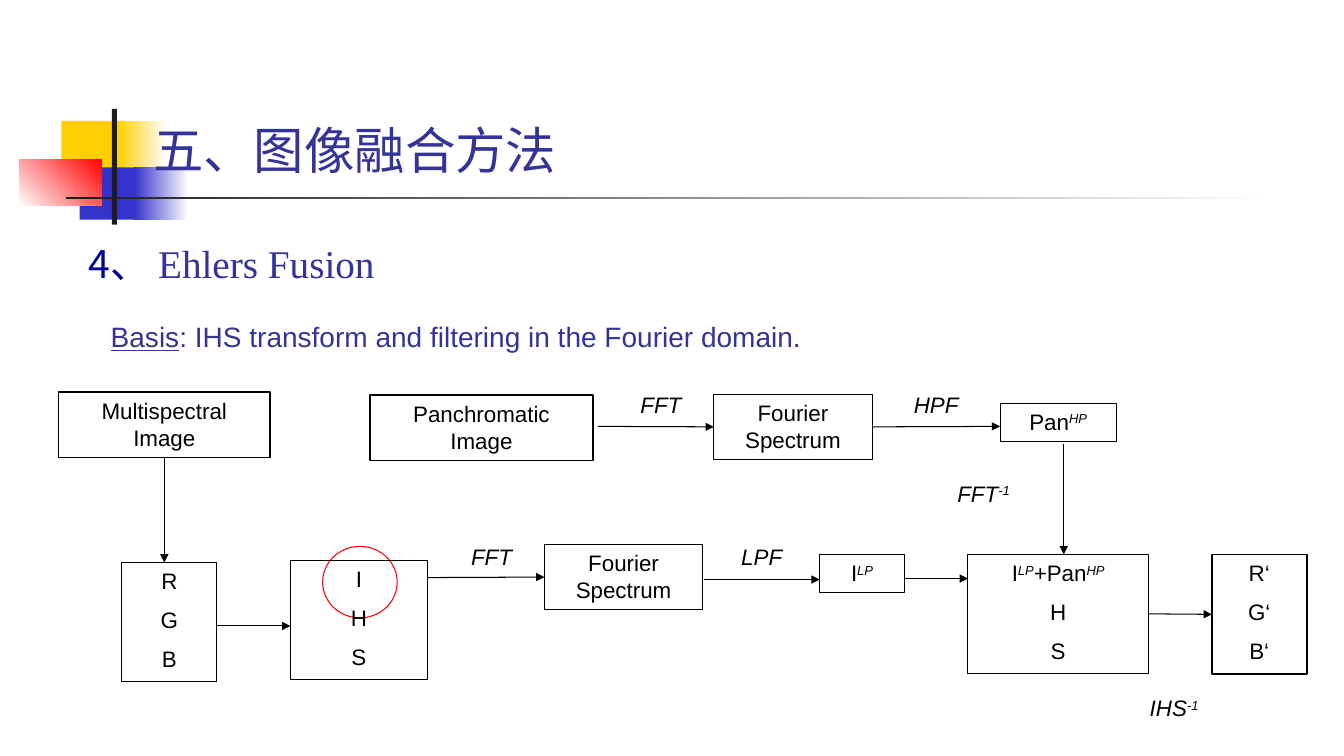
from pptx import Presentation
from pptx.util import Inches, Pt
from pptx.dml.color import RGBColor
from pptx.enum import shapes, text
from pptx.oxml import ns
from lxml import etree

BLACK = RGBColor(0x00, 0x00, 0x00)
WHITE = RGBColor(0xFF, 0xFF, 0xFF)
RED = RGBColor(0xFF, 0x00, 0x00)
YELLOW = RGBColor(0xFF, 0xCF, 0x01)
BLUE = RGBColor(0x33, 0x33, 0xCC)
DARK = RGBColor(0x1C, 0x1C, 0x1C)
INDIGO = RGBColor(0x33, 0x33, 0x99)
NAVY = RGBColor(0x00, 0x00, 0x99)
CJK = "Noto Sans CJK JP"
SERIF = "Times New Roman"
BOTTOM, LEFT, RIGHT = 2, 1, 3

# Content: a text is a list of paragraphs, a paragraph a list of (run, format)
SUP = {"italic": True, "sup": True}
ITALIC = {"italic": True}
FOURIER = [[("Fourier\nSpectrum", {})]]


def column(letters):
    return [[(letter, {})] for letter in letters]


TITLE = [[("五、图像融合方法", {})]]
HEADING = [[("4、 ", {"font": CJK, "color": NAVY}), ("Ehlers Fusion", {})]]
BASIS = [[("Basis", {"underline": True}),
          (": IHS transform and filtering in the Fourier domain.", {})]]

# Template bars: left, top, width, height, colour, gradient end, angle
BARS = [
    (0.61, 1.2, 0.64, 0.52, YELLOW, None, 0),
    (1.17, 1.2, 0.48, 0.52, YELLOW, WHITE, 0),
    (0.79, 1.66, 0.62, 0.52, BLUE, None, 0),
    (1.33, 1.66, 0.54, 0.52, BLUE, WHITE, 0),
    (0.19, 1.58, 0.82, 0.46, WHITE, RED, 45),
    (1.11, 1.08, 0.05, 1.15, DARK, None, 0),
    (0.65, 1.95, 11.99, 0.03, DARK, WHITE, 0),
]

# Flow boxes: left, top, width, height, line width, text
BOXES = {
    "pan": (3.67, 3.92, 2.21, 0.65, 1.25, [[("Panchromatic Image", {})]]),
    "multi": (0.58, 3.89, 2.1, 0.65, 1.25, [[("Multispectral Image", {})]]),
    "rgb": (1.21, 5.58, 0.94, 1.18, 0.75, column("RGB")),
    "ihs": (2.88, 5.56, 1.36, 1.18, 0.75, column("IHS")),
    "pan_fourier": (7.08, 3.91, 1.57, 0.65, 0.75, FOURIER),
    "i_fourier": (5.4, 5.4, 1.57, 0.65, 0.75, FOURIER),
    "pan_hp": (9.92, 4, 1.15, 0.38, 0.75, [[("Pan", {}), ("HP", SUP)]]),
    "i_lp": (8.13, 5.5, 0.84, 0.38, 0.75, [[("I", {}), ("LP", SUP)]]),
    "sum": (9.6, 5.5, 1.79, 1.18, 0.75,
            [[("I", {}), ("LP", SUP), ("+Pan", {}), ("HP", SUP)]] + column("HS")),
    "result": (12.02, 5.5, 0.94, 1.19, 1.25, column(["R‘", "G‘", "B‘"])),
}

# Step labels: left, top, width, text, superscript
LABELS = [
    (6.03, 3.83, 1.05, "FFT", ""),
    (4.35, 5.34, 1.05, "FFT", ""),
    (8.76, 3.83, 1.05, "HPF", ""),
    (7.07, 5.34, 0.97, "LPF", ""),
    (9.18, 4.71, 1.15, "FFT", "-1"),
    (11.07, 6.84, 1.15, "IHS", "-1"),
]

# Arrows: each end is a point or a (box, side) joint
ARROWS = [
    (("multi", BOTTOM), (1.63, 5.58)),
    ((5.93, 4.23), ("pan_fourier", LEFT)),
    (("pan_fourier", RIGHT), (9.92, 4.23)),
    ((10.55, 4.4), (10.55, 5.5)),
    ((2.15, 6.21), (2.88, 6.21)),
    ((4.24, 5.73), ("i_fourier", LEFT)),
    ((6.98, 5.75), (8.13, 5.75)),
    ((8.97, 5.74), (9.6, 5.74)),
    (("sum", RIGHT), ("result", LEFT)),
]

prs = Presentation()
prs.slide_width, prs.slide_height = Inches(13.33), Inches(7.5)
s = prs.slides.add_slide(prs.slide_layouts[6])


def write(sp, paragraphs, size=16, font="Arial", color=BLACK, inset=0.1,
          align=text.PP_ALIGN.CENTER, anchor=text.MSO_ANCHOR.TOP):
    tf = sp.text_frame
    tf.word_wrap = True
    tf.vertical_anchor = anchor
    tf.margin_left = tf.margin_right = Inches(inset)
    for i, runs in enumerate(paragraphs):
        p = tf.add_paragraph() if i else tf.paragraphs[0]
        p.alignment = align
        if i:
            p.space_before = Pt(8.7)
        for content, fmt in runs:
            for n, line in enumerate(content.split("\n")):
                if n:
                    p.add_line_break()
                r = p.add_run()
                r.text = line
                r.font.size = Pt(size)
                r.font.name = fmt.get("font", font)
                r.font.color.rgb = fmt.get("color", color)
                r.font.italic = fmt.get("italic", False)
                r.font.underline = fmt.get("underline", False)
                rPr = r._r.get_or_add_rPr()
                etree.SubElement(rPr, ns.qn("a:ea")).set("typeface", CJK)
                if fmt.get("sup"):
                    rPr.set("baseline", "30000")


def add_textbox(left, top, width, height, paragraphs, **fmt):
    sp = s.shapes.add_textbox(*map(Inches, (left, top, width, height)))
    write(sp, paragraphs, **fmt)


def add_outline(kind, left, top, width, height, weight, color):
    sp = s.shapes.add_shape(kind, *map(Inches, (left, top, width, height)))
    sp.shadow.inherit = False
    sp.fill.background()
    sp.line.color.rgb = color
    sp.line.width = Pt(weight)
    return sp


def add_arrow(start, end):
    def point(at):
        return (0, 0) if at[0] in BOXES else (Inches(at[0]), Inches(at[1]))

    line = s.shapes.add_connector(
        shapes.MSO_CONNECTOR.STRAIGHT, *point(start), *point(end))
    for at, join in ((start, line.begin_connect), (end, line.end_connect)):
        if at[0] in boxes:
            join(boxes[at[0]], at[1])
    line.line.color.rgb = BLACK
    line.line.width = Pt(0.75)
    ln = line.line._get_or_add_ln()
    etree.SubElement(ln, ns.qn("a:tailEnd")).set("type", "triangle")
    etree.SubElement(line._element.spPr, ns.qn("a:effectLst"))


# Template bars
for left, top, width, height, color, fade, angle in BARS:
    sp = s.shapes.add_shape(shapes.MSO_SHAPE.RECTANGLE,
                            *map(Inches, (left, top, width, height)))
    sp.shadow.inherit = False
    sp.line.fill.background()
    if fade is None:
        sp.fill.solid()
        sp.fill.fore_color.rgb = color
    else:
        sp.fill.gradient()
        sp.fill.gradient_angle = angle
        for stop, shade in zip(sp.fill.gradient_stops, (color, fade)):
            stop.color.rgb = shade

# Headings
left_text = {"align": text.PP_ALIGN.LEFT, "color": INDIGO}
add_textbox(1.42, 1.07, 11.36, 0.76, TITLE, size=36, font=SERIF,
            anchor=text.MSO_ANCHOR.BOTTOM, **left_text)
add_textbox(0.78, 2.33, 8.4, 0.57, HEADING, size=28, font=SERIF, **left_text)
add_textbox(1, 3.12, 11.76, 0.43, BASIS, size=20, **left_text)

# Flow chart
add_outline(shapes.MSO_SHAPE.OVAL, 3.2, 5.42, 0.74, 0.71, 0.75, RED)
boxes = {}
for name, (left, top, width, height, weight, paragraphs) in BOXES.items():
    boxes[name] = add_outline(shapes.MSO_SHAPE.RECTANGLE,
                              left, top, width, height, weight, BLACK)
    write(boxes[name], paragraphs, inset=0.12)
for left, top, width, step, power in LABELS:
    runs = [(step, ITALIC)] + ([(power, SUP)] if power else [])
    add_textbox(left, top, width, 0.37, [runs])
for start, end in ARROWS:
    add_arrow(start, end)

prs.save("out.pptx")
